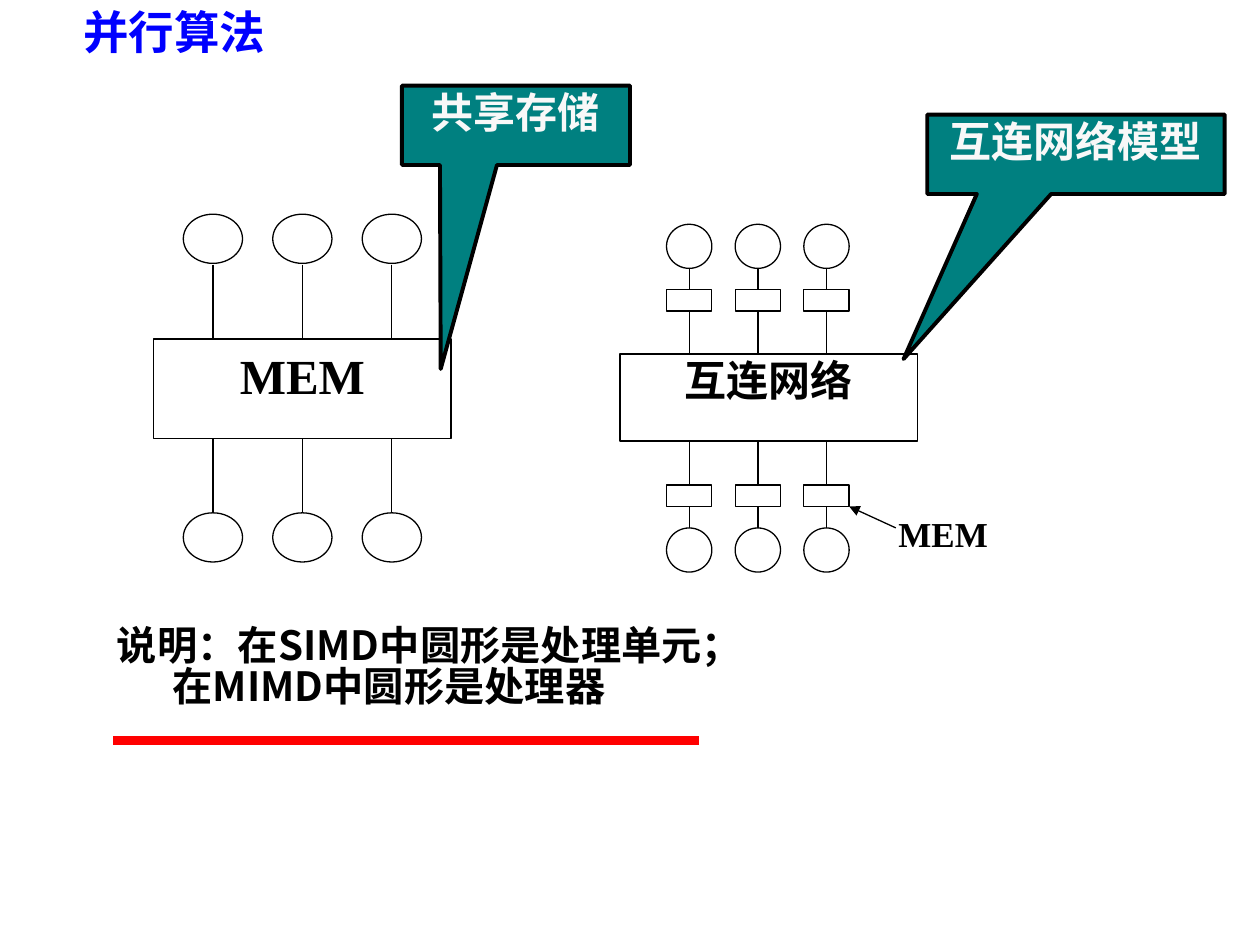
from lxml import etree
from pptx import Presentation
from pptx.dml.color import RGBColor
from pptx.enum import lang, shapes, text
from pptx.oxml import ns
from pptx.util import Inches, Pt

BLACK = RGBColor(0x00, 0x00, 0x00)
WHITE = RGBColor(0xFF, 0xFF, 0xFF)
BLUE = RGBColor(0x00, 0x00, 0xFF)
RED = RGBColor(0xFF, 0x00, 0x00)
TEAL = RGBColor(0x00, 0x80, 0x80)
PALE = RGBColor(0xF8, 0xF8, 0xF8)
SERIF = "Times New Roman"
CHINESE = "Noto Sans CJK SC"
CENTER = text.PP_ALIGN.CENTER
JUSTIFY = text.PP_ALIGN.JUSTIFY
RECTANGLE = shapes.MSO_SHAPE.RECTANGLE
OVAL = shapes.MSO_SHAPE.OVAL
CALLOUT = shapes.MSO_SHAPE.RECTANGULAR_CALLOUT

presentation = Presentation()
presentation.slide_width = Inches(10)
presentation.slide_height = Inches(7.5)
slide = presentation.slides.add_slide(presentation.slide_layouts[6])


def add_box(kind, bounds, wording="", size=24, font=SERIF, color=BLACK,
            fill=WHITE, line_width=0.75, align=CENTER, spacing=0.9):
    bounds = [Inches(value) for value in bounds]
    if kind is None:
        shape = slide.shapes.add_textbox(*bounds)
    else:
        shape = slide.shapes.add_shape(kind, *bounds)
        shape.shadow.inherit = False
        shape.fill.solid()
        shape.fill.fore_color.rgb = fill
        if line_width:
            shape.line.color.rgb = BLACK
            shape.line.width = Pt(line_width)
        else:
            shape.line.fill.background()
    if not wording:
        return shape
    frame = shape.text_frame
    frame.word_wrap = True
    frame.vertical_anchor = text.MSO_ANCHOR.TOP
    frame.text = wording
    for paragraph in frame.paragraphs:
        paragraph.alignment = align
        if not wording.isascii():
            paragraph.line_spacing = spacing
        for run in paragraph.runs:
            run.font.name = font
            run.font.size = Pt(size)
            run.font.bold = True
            run.font.color.rgb = color
            if not wording.isascii():
                run.font.language_id = lang.MSO_LANGUAGE_ID.SIMPLIFIED_CHINESE
                etree.SubElement(run.font._element, ns.qn("a:ea"), typeface=CHINESE)
    return shape


def add_line(x1, y1, x2, y2, color=BLACK, width=0.75):
    line = slide.shapes.add_connector(
        shapes.MSO_CONNECTOR.STRAIGHT, Inches(x1), Inches(y1), Inches(x2), Inches(y2))
    line.line.color.rgb = color
    line.line.width = Pt(width)
    etree.SubElement(line._element.spPr, ns.qn("a:effectLst"))
    return line


add_box(None, (-0.06, 0.03, 2.89, 0.54), "并行算法", 26, color=BLUE)

memory = add_box(RECTANGLE, (1.22, 2.69, 2.36, 0.79), "MEM", 28)
for column in range(3):
    x = 1.69 + 0.71 * column
    for top in (1.7, 4.07):
        add_box(OVAL, (x - 0.235, top, 0.47, 0.39))
    upper_line = add_line(x, 2.1, x, 2.69)
    lower_line = add_line(x, 3.48, x, 4.07)
    if column == 1:
        upper_line.end_connect(memory, 0)
        lower_line.begin_connect(memory, 2)

add_box(RECTANGLE, (4.92, 2.81, 2.36, 0.69), "互连网络")
for column in range(3):
    x = 5.47 + 0.545 * column
    for top in (1.78, 4.19):
        add_box(OVAL, (x - 0.18, top, 0.36, 0.35))
    for top, line_start, line_end in ((2.3, 2.13, 2.81), (3.85, 3.5, 4.19)):
        local_memory = add_box(RECTANGLE, (x - 0.18, top, 0.36, 0.17))
        add_line(x, line_start, x, top).end_connect(local_memory, 0)
        add_line(x, top + 0.17, x, line_end).begin_connect(local_memory, 2)

memory_label = add_box(None, (7.11, 4.02, 0.91, 0.52), "MEM", 20, align=JUSTIFY)
memory_label.text_frame.margin_left = Inches(0.02)
memory_label.text_frame.margin_right = Inches(0.02)
pointer = add_line(7.11, 4.19, 6.74, 4.02)
etree.SubElement(pointer.line._get_or_add_ln(), ns.qn("a:tailEnd"), type="triangle")

explanation = add_box(
    RECTANGLE, (0.83, 4.93, 7.8, 0.94),
    "说明：在SIMD中圆形是处理单元；\n在MIMD中圆形是处理器",
    23, CHINESE, line_width=0, align=JUSTIFY, spacing=0.85)
second_line = explanation.text_frame.paragraphs[1]
second_line._p.get_or_add_pPr().set("marL", str(Inches(0.44)))
add_line(0.9, 5.88, 5.55, 5.88, RED, 5.25)

for bounds, wording, tip in (
    ((3.19, 0.68, 1.81, 0.63), "共享存储", (-0.33, 3.07)),
    ((7.36, 0.91, 2.36, 0.63), "互连网络模型", (-0.58, 2.58)),
):
    callout = add_box(CALLOUT, bounds, wording, font="Arial", color=PALE,
                      fill=TEAL, line_width=2.25)
    callout.adjustments[0], callout.adjustments[1] = tip

presentation.save("out.pptx")
